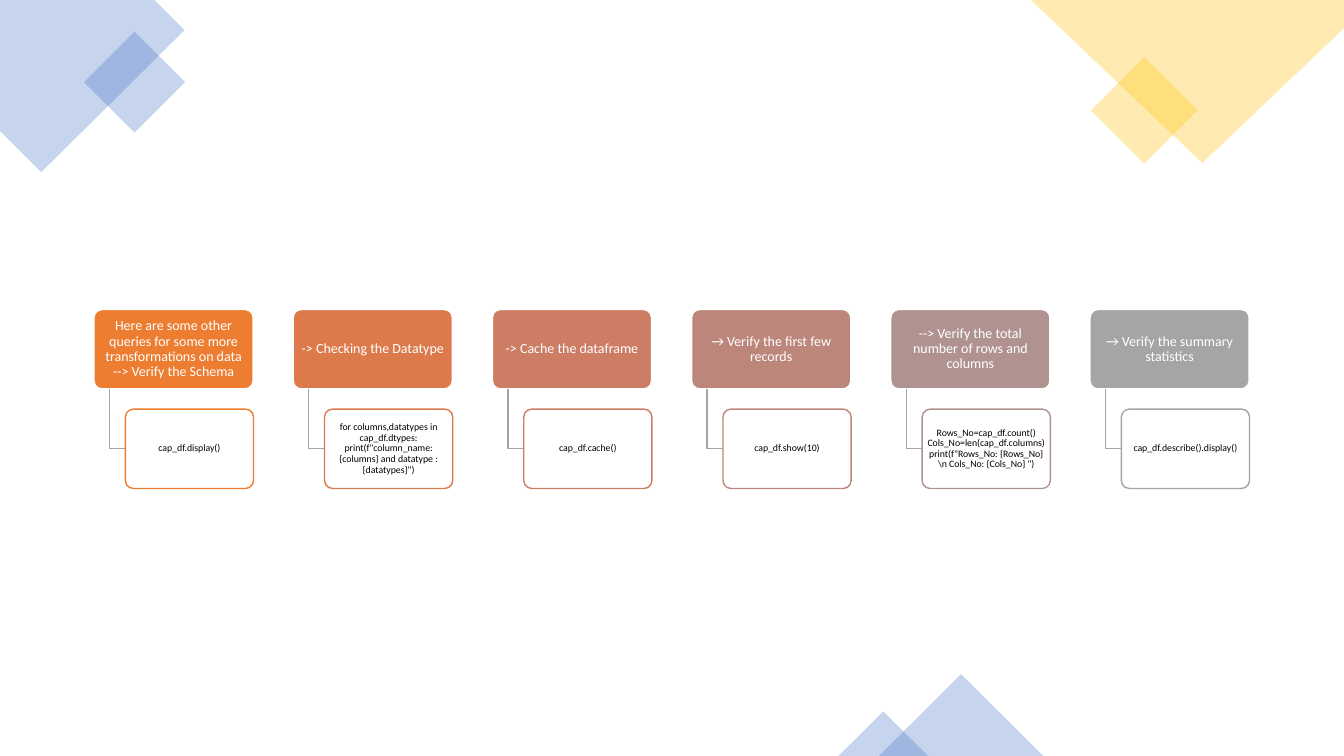
from pptx import Presentation
from pptx.dml.color import RGBColor
from pptx.enum.shapes import MSO_SHAPE as Preset
from pptx.enum.text import MSO_ANCHOR as Anchor, PP_ALIGN as Align
from pptx.oxml.ns import qn
from pptx.util import Cm, Pt
from lxml.etree import SubElement

BLUE = RGBColor(0x44, 0x72, 0xC4)
GOLD = RGBColor(0xFF, 0xC0, 0x00)
WHITE = RGBColor(0xFF, 0xFF, 0xFF)
BLACK = RGBColor(0x00, 0x00, 0x00)
GREY = RGBColor(0xA5, 0xA5, 0xA5)

STEPS = [
    (RGBColor(0xED, 0x7D, 0x31),
     "Here are some other queries for some more transformations on data\n--> Verify the Schema",
     "cap_df.display()"),
    (RGBColor(0xDC, 0x7A, 0x4B),
     "-> Checking the Datatype",
     'for columns,datatypes in cap_df.dtypes:\n'
     'print(f"column_name: {columns} and datatype :{datatypes}")'),
    (RGBColor(0xCC, 0x7D, 0x64), "-> Cache the dataframe", "cap_df.cache()"),
    (RGBColor(0xBD, 0x86, 0x7B), "→ Verify the first few records", "cap_df.show(10)"),
    (RGBColor(0xB0, 0x93, 0x91),
     "--> Verify the total number of rows and columns",
     'Rows_No=cap_df.count()\nCols_No=len(cap_df.columns)\n'
     'print(f"Rows_No: {Rows_No}\\n Cols_No: {Cols_No} ")'),
    (GREY, "→ Verify the summary statistics", "cap_df.describe().display()"),
]

FIRST_LEFT, STEP_PITCH = 2.37, 5.02
HEADING_TOP, CODE_TOP = 7.8, 10.31
HEADING_WIDTH, CODE_WIDTH, BOX_HEIGHT = 4.01, 3.23, 2
ELBOW_INDENT, CODE_INDENT = 0.39, 0.79


def set_fill(shape, color, opacity=100):
    shape.shadow.inherit = False
    shape.fill.solid()
    shape.fill.fore_color.rgb = color
    if opacity < 100:
        color_node = shape.fill._xPr.find(qn("a:solidFill"))[0]
        SubElement(color_node, qn("a:alpha")).set("val", str(opacity * 1000))


def set_line(shape, color):
    shape.line.color.rgb = color
    shape.line.width = Pt(1)


def add_path(page, points, close):
    corners = [(Cm(x), Cm(y)) for x, y in points]
    builder = page.shapes.build_freeform(*corners[0])
    builder.add_line_segments(corners[1:], close=close)
    shape = builder.convert_to_shape()
    shape.shadow.inherit = False
    return shape


def add_corner(page, points, color):
    corner = add_path(page, points, True)
    set_fill(corner, color, 30)
    corner.line.fill.background()


def add_accent(page, preset, left, top, width, height, color, rotation=0):
    accent = page.shapes.add_shape(preset, Cm(left), Cm(top), Cm(width), Cm(height))
    accent.rotation = rotation
    set_fill(accent, color, 30)
    accent.line.fill.background()


def add_elbow(page, left):
    stem, middle = left + ELBOW_INDENT, CODE_TOP + BOX_HEIGHT / 2
    points = [(stem, HEADING_TOP + BOX_HEIGHT), (stem, middle), (left + CODE_INDENT, middle)]
    elbow = add_path(page, points, False)
    elbow.fill.background()
    set_line(elbow, GREY)


def add_box(page, left, top, width, text, size, color, inset):
    box = page.shapes.add_shape(
        Preset.ROUNDED_RECTANGLE, Cm(left), Cm(top), Cm(width), Cm(BOX_HEIGHT))
    box.adjustments[0] = 0.1
    frame = box.text_frame
    frame.word_wrap = True
    frame.vertical_anchor = Anchor.MIDDLE
    frame.margin_left = frame.margin_right = Cm(inset)
    frame.margin_top = frame.margin_bottom = Cm(0.03)
    para = frame.paragraphs[0]
    para.text = text
    para.alignment = Align.CENTER
    para.line_spacing = 0.9
    for span in para.runs:
        span.font.name = "Calibri"
        span.font.size = Pt(size)
        span.font.color.rgb = color
    return box


def add_step(page, left, color, heading, code):
    heading_box = add_box(page, left, HEADING_TOP, HEADING_WIDTH, heading, 10, WHITE, 0.05)
    set_fill(heading_box, color)
    set_line(heading_box, WHITE)
    add_elbow(page, left)
    code_box = add_box(page, left + CODE_INDENT, CODE_TOP, CODE_WIDTH, code, 7, BLACK, 0.03)
    set_fill(code_box, WHITE, 90)
    set_line(code_box, color)


def main():
    deck = Presentation()
    deck.slide_width, deck.slide_height = Cm(33.87), Cm(19.05)
    page = deck.slides.add_slide(deck.slide_layouts[6])

    add_corner(page, [(3.89, 0), (0, 0), (0, 3.3), (1.04, 4.34), (4.65, 0.76)], BLUE)
    add_accent(page, Preset.RECTANGLE, 2.49, 1.17, 1.8, 1.8, BLUE, 315)
    add_accent(page, Preset.RECTANGLE, 27.89, 1.83, 1.9, 1.9, GOLD, 315)
    add_corner(page, [(33.87, 0), (25.98, 0), (30.3, 4.11), (33.87, 0.71)], GOLD)
    add_accent(page, Preset.ISOSCELES_TRIANGLE, 22.15, 16.99, 4.14, 2.06, BLUE)
    add_accent(page, Preset.ISOSCELES_TRIANGLE, 21.13, 17.93, 2.26, 1.12, BLUE)

    for index, (color, heading, code) in enumerate(STEPS):
        add_step(page, FIRST_LEFT + index * STEP_PITCH, color, heading, code)

    deck.save("out.pptx")


if __name__ == "__main__":
    main()
